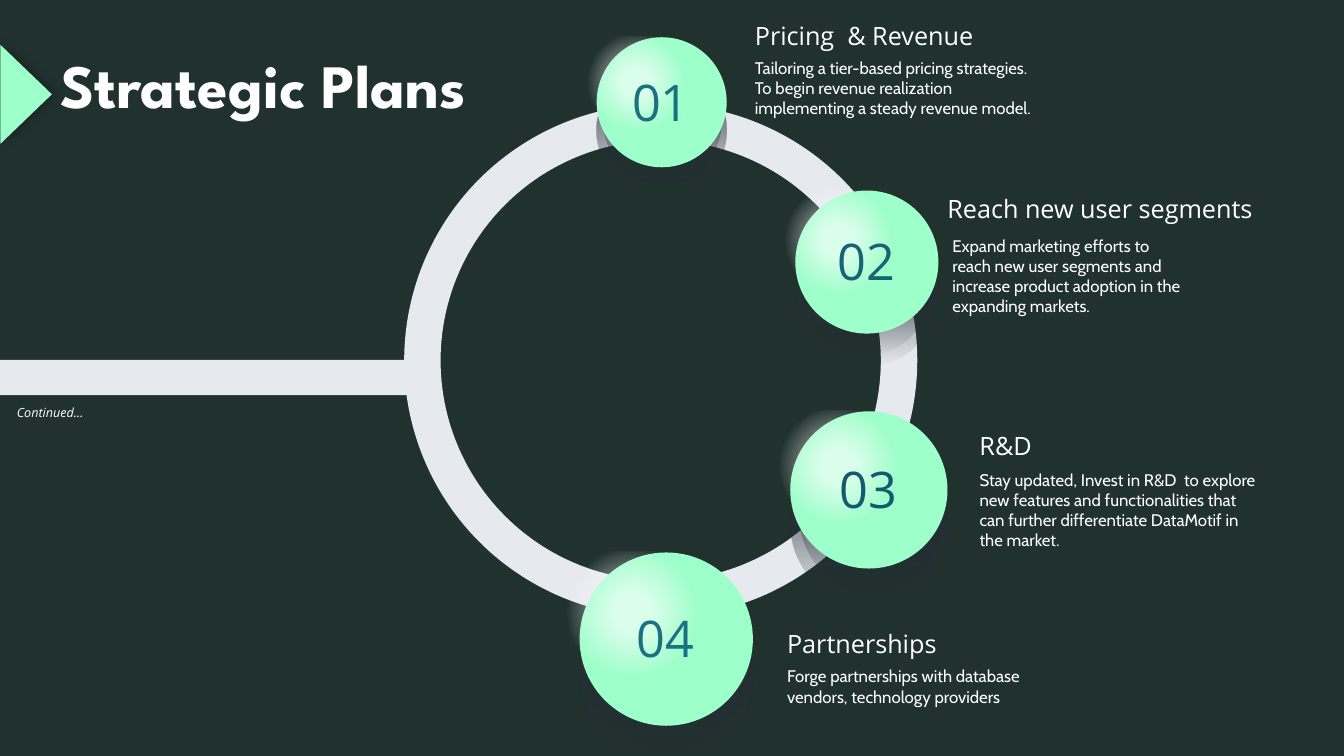
from dataclasses import dataclass

from lxml import etree
from pptx import Presentation
from pptx.dml.color import RGBColor
from pptx.enum import shapes, text
from pptx.oxml import ns
from pptx.util import Pt

BACKGROUND = RGBColor(0x21, 0x32, 0x2E)
TRACK = RGBColor(0xE6, 0xE9, 0xEE)
MINT = RGBColor(0x9D, 0xFF, 0xCA)
WHITE = RGBColor(0xFF, 0xFF, 0xFF)
SHADE = RGBColor(0x27, 0x2E, 0x3A)
BLACK = RGBColor(0, 0, 0)
TEAL = RGBColor(0x1A, 0x71, 0x7F)
MID_TEAL = RGBColor(0x16, 0x64, 0x76)
DARK_TEAL = RGBColor(0x12, 0x5A, 0x6D)

SHAPE = shapes.MSO_SHAPE
ANCHOR = text.MSO_ANCHOR
ALIGN = text.PP_ALIGN

SHADE_STOPS = ((0, 17), (42, 55), (100, 0))
GLOSS_STOPS = ((18, 62), (59, 0))


@dataclass(frozen=True)
class Box:
    left: float
    top: float
    width: float
    height: float

    def lengths(self):
        return Pt(self.left), Pt(self.top), Pt(self.width), Pt(self.height)


@dataclass(frozen=True)
class Style:
    font: str
    size: float
    color: RGBColor = WHITE
    bold: bool = False
    italic: bool = False


@dataclass(frozen=True)
class Badge:
    number: str
    left: float
    top: float
    size: float
    color: RGBColor


@dataclass(frozen=True)
class Plan:
    heading: str
    heading_box: Box
    lines: tuple[str, ...]
    body_box: Box
    anchor: ANCHOR = ANCHOR.TOP


HEADING = Style("Open Sans", 18)
BODY = Style("Cabin", 12)

BADGES = (
    Badge("01", 426.2, 26.6, 92.9, TEAL),
    Badge("02", 568.1, 136.1, 102.2, MID_TEAL),
    Badge("03", 564.5, 293.8, 112.3, DARK_TEAL),
    Badge("04", 414, 394.6, 123.8, TEAL),
)

PLANS = (
    Plan("Pricing  & Revenue", Box(532.1, 10.8, 188.6, 28.8),
         ("Tailoring a tier-based pricing strategies.",
          "To begin revenue realization implementing a steady revenue model."),
         Box(532.1, 37.4, 221.8, 65.5)),
    Plan("Reach new user segments", Box(669.6, 134.6, 257.8, 28.8),
         ("Expand marketing efforts to reach new user segments and "
          "increase product adoption in the expanding markets.",),
         Box(673.2, 164.2, 183.6, 65.5), ANCHOR.MIDDLE),
    Plan("R&D", Box(692.6, 303.8, 54.7, 28.8),
         ("Stay updated, Invest in R&D  to explore new features and functionalities "
          "that can further differentiate DataMotif in the market.",),
         Box(692.6, 331.2, 212.4, 65.5), ANCHOR.MIDDLE),
    Plan("Partnerships", Box(555.1, 445, 135.4, 28.8),
         ("Forge partnerships with database vendors, technology providers",),
         Box(555.1, 472.3, 198.7, 36)),
)


def add_xml(parent, tag: str, **attributes):
    values = {name: str(value) for name, value in attributes.items()}
    return etree.SubElement(parent, ns.qn(tag), values)


def add_color(parent, color: RGBColor, opacity: int) -> None:
    node = add_xml(parent, "a:srgbClr", val=color)
    add_xml(node, "a:alpha", val=opacity * 1000)


def add_plain(parent, kind: SHAPE, box: Box, color: RGBColor):
    shape = parent.shapes.add_shape(kind, *box.lengths())
    shape.shadow.inherit = False
    shape.fill.solid()
    shape.fill.fore_color.rgb = color
    shape.line.fill.background()
    return shape


def add_faded(parent, kind: SHAPE, box: Box, color: RGBColor,
              stops: tuple, radial: bool = False):
    """Add a shape whose colour changes opacity along a gradient."""
    shape = add_plain(parent, kind, box, color)
    properties = shape.element.spPr
    solid = properties.find(ns.qn("a:solidFill"))
    gradient = etree.Element(ns.qn("a:gradFill"), rotWithShape="1")
    properties.replace(solid, gradient)
    stop_list = add_xml(gradient, "a:gsLst")
    for position, opacity in stops:
        add_color(add_xml(stop_list, "a:gs", pos=position * 1000), color, opacity)
    if radial:
        center = add_xml(gradient, "a:path", path="circle")
        add_xml(center, "a:fillToRect", l=50000, t=50000, r=50000, b=50000)
    else:
        add_xml(gradient, "a:lin", ang=5400000, scaled=0)
    return shape


def write(shape, lines: tuple[str, ...], style: Style, wrap: bool = True,
          anchor: ANCHOR = ANCHOR.TOP, align: ALIGN = ALIGN.LEFT) -> None:
    frame = shape.text_frame
    frame.text = "\n".join(lines)
    frame.word_wrap = wrap
    frame.auto_size = text.MSO_AUTO_SIZE.SHAPE_TO_FIT_TEXT
    frame.vertical_anchor = anchor
    for para in frame.paragraphs:
        para.alignment = align
        for span in para.runs:
            span.font.name = style.font
            span.font.size = Pt(style.size)
            span.font.color.rgb = style.color
            span.font.bold = style.bold
            span.font.italic = style.italic


def add_badge(page, badge: Badge) -> None:
    group = page.shapes.add_group_shape()
    left, top, size = badge.left, badge.top, badge.size
    add_faded(group, SHAPE.OVAL, Box(left, top + 0.22 * size, size, size),
              SHADE, SHADE_STOPS)
    add_faded(group, SHAPE.OVAL,
              Box(left + 0.05 * size, top + 0.1 * size, 0.91 * size, 1.05 * size),
              SHADE, SHADE_STOPS)
    add_plain(group, SHAPE.OVAL, Box(left, top, size, size), MINT)
    gloss = add_faded(group, SHAPE.ROUNDED_RECTANGLE,
                      Box(left - 0.235 * size, top - 0.5, 1.08 * size, 0.7 * size),
                      WHITE, GLOSS_STOPS, radial=True)
    gloss.adjustments[0] = 0.5
    width, height = 56.9, 51.1
    label = Box(left + (size - width) / 2 - 0.5, top + (size - height) / 2 - 1,
                width, height)
    write(group.shapes.add_textbox(*label.lengths()), (badge.number,),
          Style("Open Sans", 36, badge.color), False, ANCHOR.MIDDLE, ALIGN.CENTER)


def add_plan(page, plan: Plan) -> None:
    group = page.shapes.add_group_shape()
    write(group.shapes.add_textbox(*plan.heading_box.lengths()),
          (plan.heading,), HEADING, wrap=False)
    write(group.shapes.add_textbox(*plan.body_box.lengths()),
          plan.lines, BODY, anchor=plan.anchor)


def add_marker(page) -> None:
    """Add the shadowed triangle that points at the title."""
    marker = add_plain(page, SHAPE.ISOSCELES_TRIANGLE, Box(-16.6, 49, 70.6, 36.7), MINT)
    marker.rotation = 90
    effects = marker.element.spPr.find(ns.qn("a:effectLst"))
    shadow = add_xml(effects, "a:outerShdw", blurRad=Pt(8), dist=Pt(3), dir=0,
                     algn="l", rotWithShape=0)
    add_color(shadow, BLACK, 26)


def main() -> None:
    deck = Presentation()
    deck.slide_width, deck.slide_height = Pt(960), Pt(540)
    page = deck.slides.add_slide(deck.slide_layouts[5])
    page.background.fill.solid()
    page.background.fill.fore_color.rgb = BACKGROUND

    title = page.shapes.title
    title.left, title.top, title.width, title.height = Box(36, 30.2, 411.1, 60.5).lengths()
    write(title, ("Strategic Plans",), Style("League Spartan", 44, bold=True))

    add_plain(page, SHAPE.RECTANGLE, Box(0, 257, 307.4, 25.2), TRACK)
    ring = add_plain(page, SHAPE.DONUT, Box(288.7, 74.2, 366.5, 366.5), TRACK)
    ring.adjustments[0] = 0.071
    for badge in BADGES:
        add_badge(page, badge)
    for plan in PLANS:
        add_plan(page, plan)
    note = page.shapes.add_textbox(*Box(5, 285.8, 257, 18).lengths())
    write(note, ("Continued…",), Style("Open Sans", 9, italic=True))
    add_marker(page)
    deck.save("out.pptx")


if __name__ == "__main__":
    main()
